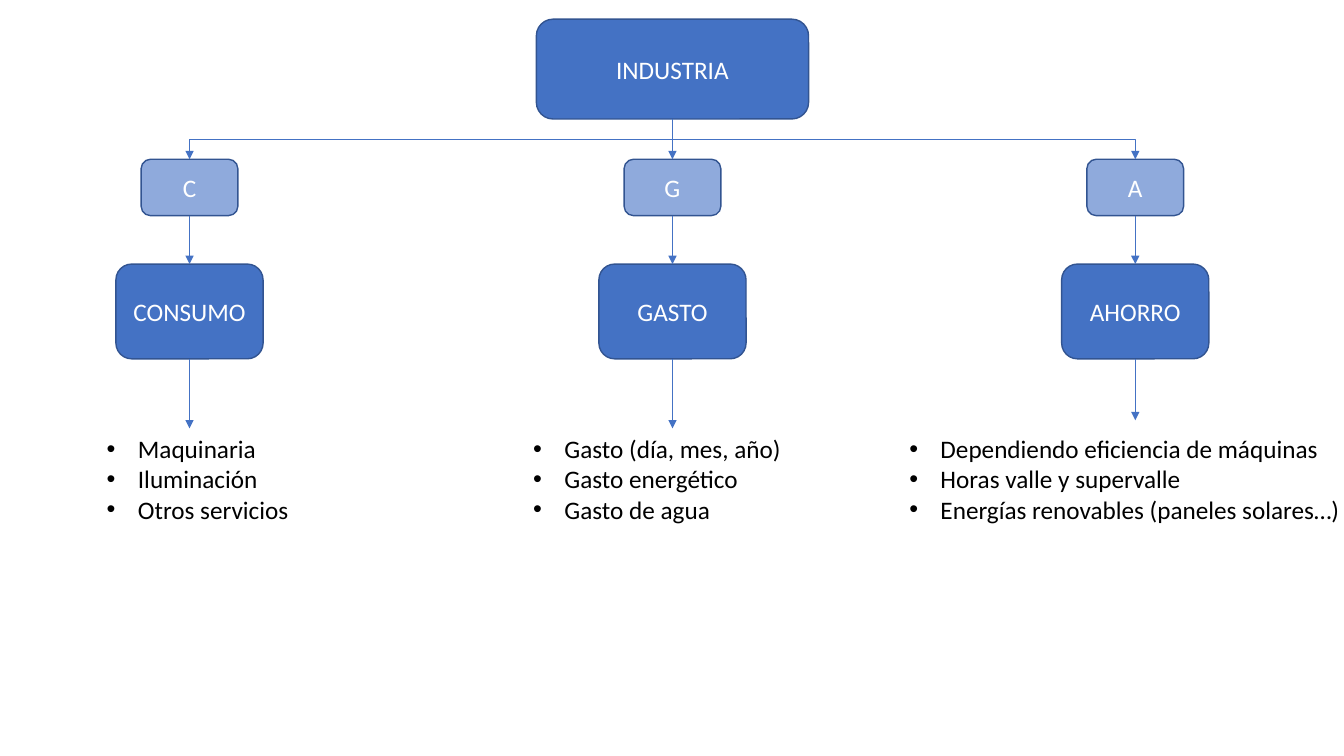
import pptx
import pptx.util
import pptx.dml.color
import pptx.enum.shapes
import pptx.enum.text
import pptx.oxml.ns
import lxml.etree

inch = pptx.util.Inches
kinds = pptx.enum.shapes.MSO_CONNECTOR
qn = pptx.oxml.ns.qn
hues = {"blue": "4472C4", "pale": "8FAADC", "edge": "325491", "white": "FFFFFF", "black": "000000"}
rgb = {name: pptx.dml.color.RGBColor.from_string(hue) for name, hue in hues.items()}

deck = pptx.Presentation()
deck.slide_width = inch(13.33)
deck.slide_height = inch(7.5)
slide = deck.slides.add_slide(deck.slide_layouts[6])
shapes = slide.shapes

cols = [1.88, 6.67, 11.26]
mid = cols[1]
rows = {"top": (0.19, 0.99), "key": (1.58, 0.56), "name": (2.62, 0.94), "list": (4.25, 1.31)}
ends = {row: y + high for row, (y, high) in rows.items()}
wide = {"top": 2.7, "key": 0.96, "name": 1.46}


def style(frame, hue):
    for para in frame.paragraphs:
        for run in para.runs:
            run.font.name = "Calibri"
            run.font.size = pptx.util.Pt(18)
            run.font.color.rgb = rgb[hue]


def arrow(kind, x1, y1, x2, y2):
    link = shapes.add_connector(kind, inch(x1), inch(y1), inch(x2), inch(y2))
    link.line.color.rgb = rgb["blue"]
    link.line.width = pptx.util.Pt(0.5)
    lxml.etree.SubElement(link.line._get_or_add_ln(), qn("a:tailEnd"), type="triangle")
    lxml.etree.SubElement(link._element.spPr, qn("a:effectLst"))
    return link


boxes = [("top", mid, "INDUSTRIA", "blue")]
boxes += [("key", x, text, "pale") for x, text in zip(cols, "CGA")]
boxes += [("name", x, text, "blue") for x, text in zip(cols, ["CONSUMO", "GASTO", "AHORRO"])]
for row, x, text, hue in boxes:
    y, high = rows[row]
    box = shapes.add_shape(
        pptx.enum.shapes.MSO_SHAPE.ROUNDED_RECTANGLE,
        inch(x - wide[row] / 2), inch(y), inch(wide[row]), inch(high))
    box.shadow.inherit = False
    box.fill.solid()
    box.fill.fore_color.rgb = rgb[hue]
    box.line.color.rgb = rgb["edge"]
    box.line.width = pptx.util.Pt(1)
    frame = box.text_frame
    frame.text = text
    frame.vertical_anchor = pptx.enum.text.MSO_ANCHOR.MIDDLE
    frame.paragraphs[0].alignment = pptx.enum.text.PP_ALIGN.CENTER
    style(frame, "white")

start, stop = ends["top"], rows["key"][0]
arrow(kinds.STRAIGHT, mid, start, mid, stop)
for x, side, turn in [(cols[0], -1, 90), (cols[2], 1, 270)]:
    span, half = abs(x - mid), side * (stop - start) / 2
    mx, my = (x + mid) / 2, (start + stop) / 2
    bend = arrow(kinds.ELBOW, mx + half, my - span / 2, mx - half, my + span / 2)
    bend._element.spPr.find(qn("a:xfrm")).set("rot", str(turn * 60000))

tips = [rows["list"][0], rows["list"][0], 4.17]
for x, tip in zip(cols, tips):
    arrow(kinds.STRAIGHT, x, ends["key"], x, rows["name"][0])
    arrow(kinds.STRAIGHT, x, ends["name"], x, tip)

lists = [
    (0.96, 2.19, ["Maquinaria", "Iluminación", "Otros servicios"]),
    (5.19, 3.29, ["Gasto (día, mes, año)", "Gasto energético", "Gasto de agua"]),
    (8.92, 4.47, ["Dependiendo eficiencia de máquinas", "Horas valle y supervalle",
                  "Energías renovables (paneles solares…)"]),
]
for x, width, items in lists:
    y, high = rows["list"]
    note = shapes.add_textbox(inch(x), inch(y), inch(width), inch(high))
    frame = note.text_frame
    frame.word_wrap = True
    frame.auto_size = pptx.enum.text.MSO_AUTO_SIZE.SHAPE_TO_FIT_TEXT
    frame.text = "\n".join(items)
    style(frame, "black")
    for para in frame.paragraphs:
        props = para._p.get_or_add_pPr()
        props.set("marL", str(inch(0.31)))
        props.set("indent", str(-inch(0.31)))
        lxml.etree.SubElement(props, qn("a:buFont"), typeface="Arial")
        lxml.etree.SubElement(props, qn("a:buChar"), char="•")

deck.save("out.pptx")
